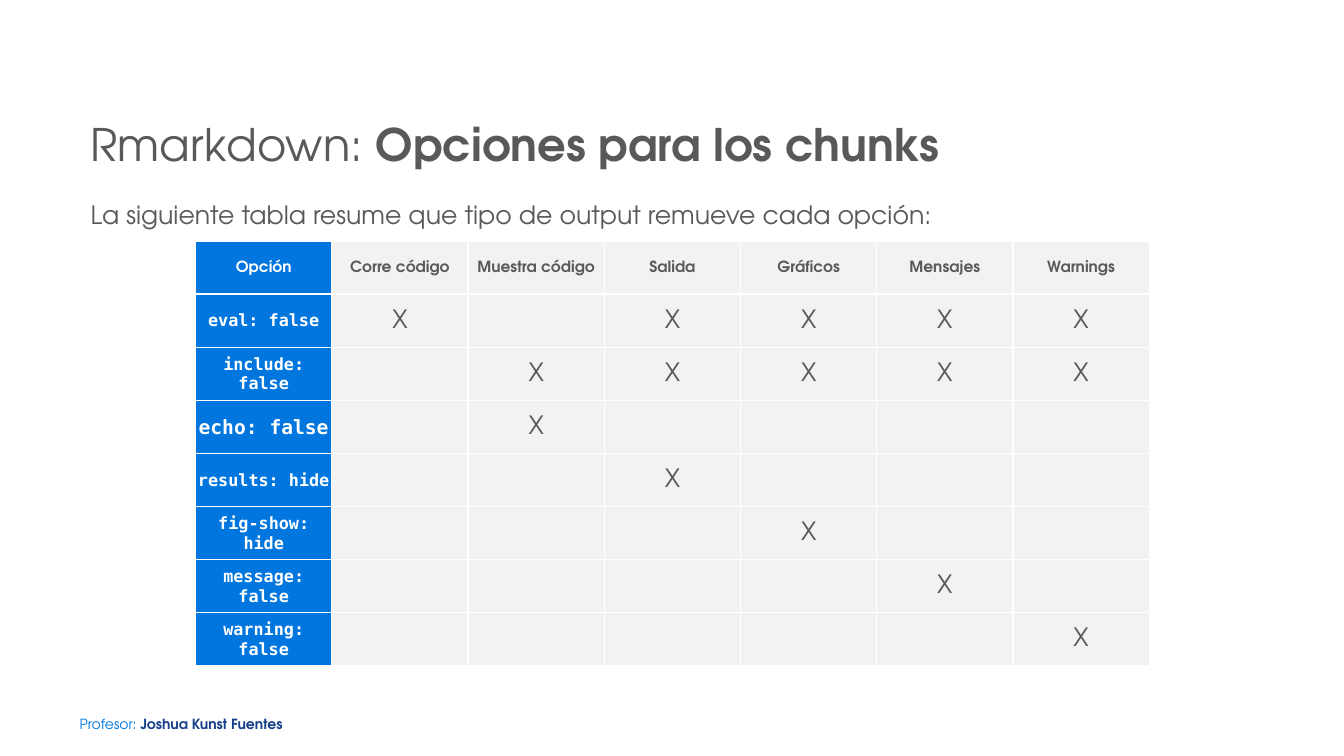
from lxml.etree import SubElement
from pptx import Presentation
from pptx.dml.color import RGBColor
from pptx.enum.text import MSO_ANCHOR, MSO_AUTO_SIZE, PP_ALIGN
from pptx.oxml.ns import qn
from pptx.util import Inches, Pt

SANS, MONO = "TeX Gyre Adventor", "DejaVu Sans Mono"
GRAY, BLUE, NAVY, WHITE, PALE = "595959", "0176DE", "173F8A", "FFFFFF", "F2F2F2"
HEADERS = ["Opción", "Corre código", "Muestra código", "Salida",
           "Gráficos", "Mensajes", "Warnings"]
# Option, its font size and the columns it removes
OPTIONS = [
    ("eval: false", 12, {1, 3, 4, 5, 6}),
    ("include: false", 12, {2, 3, 4, 5, 6}),
    ("echo: false", 14, {2}),
    ("results: hide", 12, {3}),
    ("fig-show: hide", 12, {4}),
    ("message: false", 12, {5}),
    ("warning: false", 12, {6}),
]


def color(value):
    return RGBColor.from_string(value)


def format_font(font, size, value, bold=False, name=SANS):
    font.name, font.size, font.bold = name, Pt(size), bold
    font.color.rgb = color(value)


def add_runs(paragraph, size, runs):
    """Add (text, colour, bold) runs of one size."""
    for text, value, bold in runs:
        run = paragraph.add_run()
        run.text = text
        format_font(run.font, size, value, bold)


def place_title(slide, box):
    title = slide.shapes.title
    title.left, title.top, title.width, title.height = map(Inches, box)
    frame = title.text_frame
    frame.word_wrap, frame.auto_size = True, MSO_AUTO_SIZE.NONE
    frame.vertical_anchor = MSO_ANCHOR.MIDDLE
    paragraph = frame.paragraphs[0]
    paragraph.alignment, paragraph.line_spacing = PP_ALIGN.LEFT, 2.0
    paragraph.space_before = Pt(0)
    add_runs(paragraph, 32, [("Rmarkdown:", GRAY, False),
                             (" Opciones para los chunks", GRAY, True)])


def add_text(slide, box, size, line_spacing, runs, margin=None):
    frame = slide.shapes.add_textbox(*map(Inches, box)).text_frame
    frame.word_wrap = True
    if margin is not None:
        frame.margin_left = frame.margin_right = Inches(margin)
        frame.margin_top = frame.margin_bottom = Inches(margin)
    paragraph = frame.paragraphs[0]
    paragraph.line_spacing = line_spacing
    add_runs(paragraph, size, runs)


def add_borders(cell):
    properties = cell._tc.get_or_add_tcPr()
    for side in ("a:lnL", "a:lnR", "a:lnT", "a:lnB"):
        line = SubElement(properties, qn(side), w=str(Pt(1)))
        fill = SubElement(line, qn("a:solidFill"))
        SubElement(fill, qn("a:srgbClr"), val=WHITE)


def format_cell(cell, fill, text, size, value, bold, name=SANS):
    add_borders(cell)
    cell.fill.solid()
    cell.fill.fore_color.rgb = color(fill)
    cell.vertical_anchor = MSO_ANCHOR.MIDDLE
    cell.margin_left = cell.margin_right = cell.margin_top = Inches(0.01)
    cell.margin_bottom = 0
    cell.text = text
    paragraph = cell.text_frame.paragraphs[0]
    paragraph.alignment = PP_ALIGN.CENTER
    format_font(paragraph.font, size, value, bold, name)


def add_options_table(slide, box):
    left, top, width, height = map(Inches, box)
    row_count, column_count = len(OPTIONS) + 1, len(HEADERS)
    table = slide.shapes.add_table(row_count, column_count, left, top, width, height).table
    for column in table.columns:
        column.width = width // column_count
    for row in table.rows:
        row.height = height // row_count
    for column, header in enumerate(HEADERS):
        fill, value = (PALE, GRAY) if column else (BLUE, WHITE)
        format_cell(table.cell(0, column), fill, header, 11, value, True)
    for row, (option, size, removed) in enumerate(OPTIONS, 1):
        format_cell(table.cell(row, 0), BLUE, option, size, WHITE, True, MONO)
        for column in range(1, column_count):
            mark = "X" if column in removed else ""
            format_cell(table.cell(row, column), PALE, mark, 18, GRAY, False)


def main():
    presentation = Presentation()
    presentation.slide_width, presentation.slide_height = Inches(13.33), Inches(7.5)
    slide = presentation.slides.add_slide(presentation.slide_layouts[5])
    place_title(slide, (0.8, 0.65, 11.32, 1.01))
    add_text(slide, (0.8, 1.78, 8.91, 0.5), 18, 1.5,
             [("La siguiente tabla resume que tipo de output remueve cada opción:", GRAY, False)])
    add_options_table(slide, (1.94, 2.39, 9.46, 4.22))
    add_text(slide, (0.79, 6.96, 2.19, 0.26), 10, Pt(22),
             [("Profesor: ", BLUE, False), ("Joshua Kunst Fuentes", NAVY, True)], margin=0)
    presentation.save("out.pptx")


if __name__ == "__main__":
    main()
